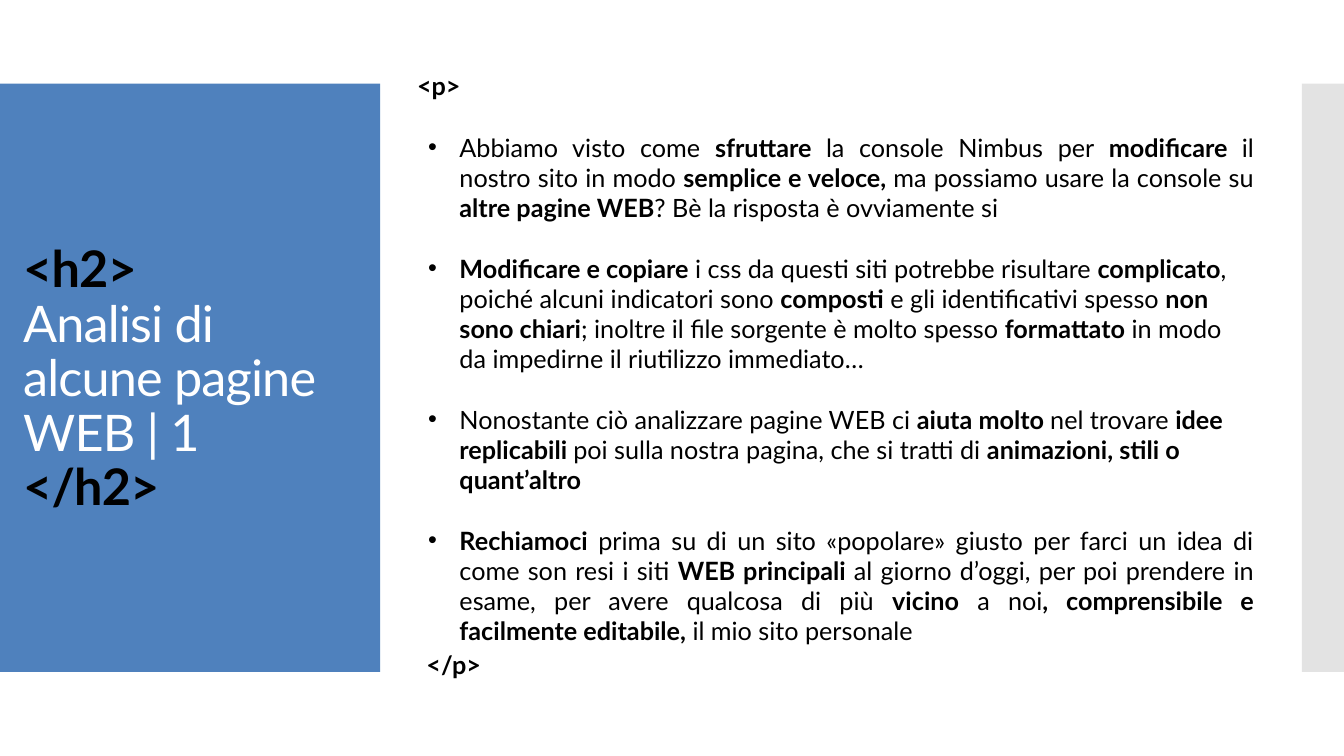
from dataclasses import dataclass
from lxml.etree import SubElement
from pptx import Presentation
from pptx.dml.color import RGBColor
from pptx.enum.shapes import MSO_SHAPE
from pptx.enum.text import MSO_ANCHOR, MSO_AUTO_SIZE, PP_ALIGN
from pptx.oxml.ns import qn
from pptx.util import Cm, Pt


@dataclass(frozen=True)
class Theme:
    blue = RGBColor(0x4F, 0x81, 0xBD)
    gray = RGBColor(0xE3, 0xE3, 0xE3)
    black = RGBColor(0, 0, 0)
    white = RGBColor(255, 255, 255)
    font = "Lato"
    head = Pt(36)
    body = Pt(18)


theme = Theme()


def add_text(left, top, width, height):
    box = slide.shapes.add_textbox(Cm(left), Cm(top), Cm(width), Cm(height))
    box.text_frame.word_wrap = True
    return box.text_frame


def style(par, size, align):
    par.alignment = align
    par.font.name = theme.font
    par.font.size = size
    par.font.color.rgb = theme.black


prs = Presentation()
prs.slide_width, prs.slide_height = Cm(33.87), Cm(19.05)
slide = prs.slides.add_slide(prs.slide_layouts[5])

for left, width, fill in [(0, 9.58, theme.blue), (32.81, 1.06, theme.gray)]:
    panel = slide.shapes.add_shape(
        MSO_SHAPE.RECTANGLE, Cm(left), Cm(2.11), Cm(width), Cm(14.82))
    panel.shadow.inherit = False
    panel.fill.solid()
    panel.fill.fore_color.rgb = fill
    panel.line.fill.background()

title = slide.shapes.title
title.element.getparent().append(title.element)
title.left, title.top, title.width, title.height = Cm(0.33), Cm(3.2), Cm(8.92), Cm(12.78)
frame = title.text_frame
frame.word_wrap = True
frame.auto_size = MSO_AUTO_SIZE.NONE
frame.vertical_anchor = MSO_ANCHOR.MIDDLE
par = frame.paragraphs[0]
style(par, theme.head, PP_ALIGN.LEFT)
par.line_spacing = 0.9
for row, text in enumerate(["<h2>", "Analisi di alcune pagine WEB | 1", "</h2>"]):
    if row:
        par.add_line_break()
    run = par.add_run()
    run.text = text
    run.font.bold = row != 1
    run.font.color.rgb = theme.white if row == 1 else theme.black
    run.font._element.set("spc", "-60")

for text, left, top, align in [
    ("<p>", 10.26, 1.65, PP_ALIGN.LEFT),
    ("</p>", 10.13, 16.23, PP_ALIGN.RIGHT),
]:
    par = add_text(left, top, 2.24, 1.02).paragraphs[0]
    par.text = text
    style(par, theme.body, align)
    par.font.bold = True

points = [
    (PP_ALIGN.JUSTIFY,
     "Abbiamo visto come *sfruttare *la console Nimbus per* modificare *il nostro sito in modo "
     "*semplice e veloce, *ma possiamo usare la console su *altre pagine WEB*? "
     "Bè la risposta è ovviamente si"),
    (PP_ALIGN.LEFT,
     "*Modificare e copiare* i css da questi siti potrebbe risultare *complicato*, poiché alcuni "
     "indicatori sono *composti* e gli identificativi spesso *non sono chiari*; inoltre il file "
     "sorgente è molto spesso *formattato* in modo da impedirne il riutilizzo immediato…"),
    (PP_ALIGN.LEFT,
     "Nonostante ciò analizzare pagine WEB ci *aiuta molto *nel trovare *idee replicabili *poi "
     "sulla nostra pagina, che si tratti di *animazioni, stili o quant’altro*"),
    (PP_ALIGN.JUSTIFY,
     "*Rechiamoci* prima su di un sito «popolare» giusto per farci un idea di come son resi i siti "
     "*WEB principali *al giorno d’oggi, per poi prendere in esame, per avere qualcosa di più "
     "*vicino* a noi*, comprensibile e facilmente editabile,* il mio sito personale"),
]
frame = add_text(10.54, 3.2, 21.31, 12.57)
for row, (align, text) in enumerate(points):
    par = frame.add_paragraph() if row else frame.paragraphs[0]
    style(par, theme.body, align)
    par.space_before = Pt(21.6 if row else 0)
    props = par._p.get_or_add_pPr()
    props.set("marL", str(Cm(0.79)))
    props.set("indent", str(-Cm(0.79)))
    face = SubElement(props, qn("a:buFont"), typeface="Arial")
    mark = SubElement(props, qn("a:buChar"), char="•")
    props.find(qn("a:defRPr")).addprevious(face)
    face.addnext(mark)
    for part, words in enumerate(text.split("*")):
        if words:
            run = par.add_run()
            run.text = words
            run.font.bold = part % 2 == 1

prs.save("out.pptx")
